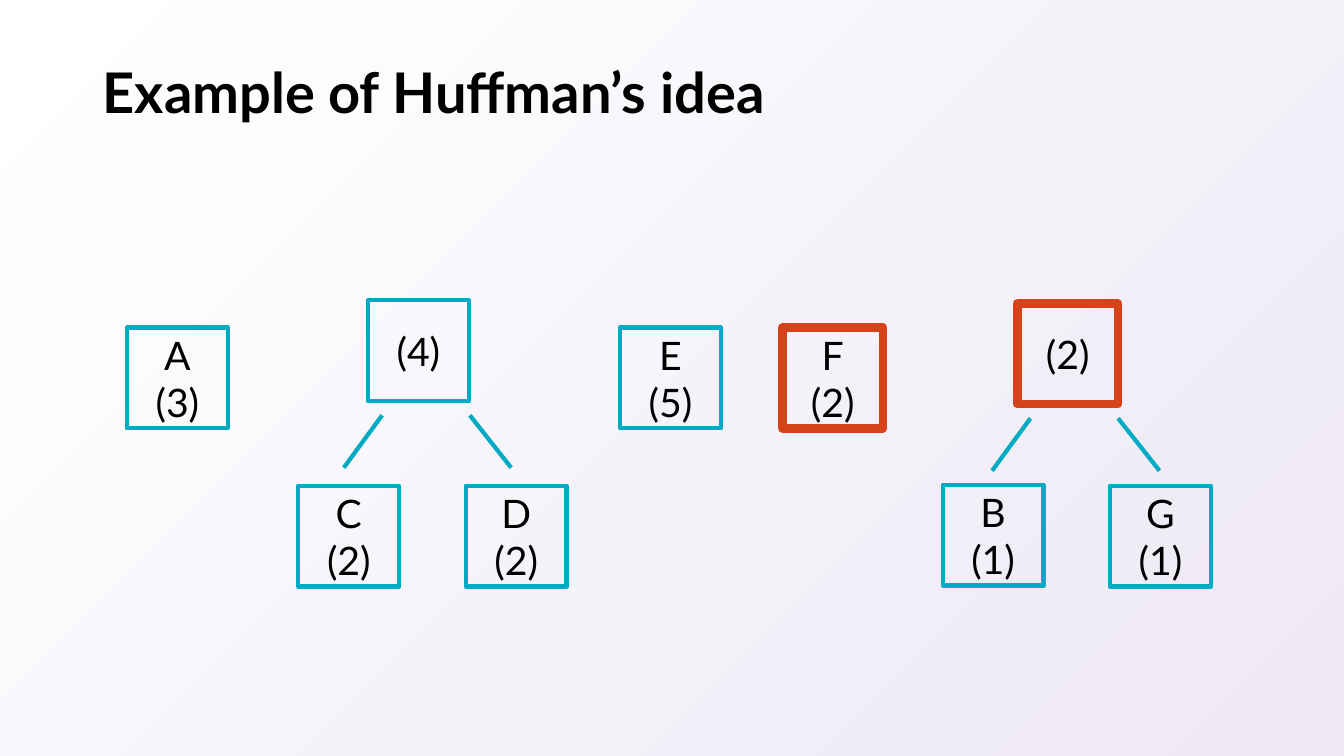
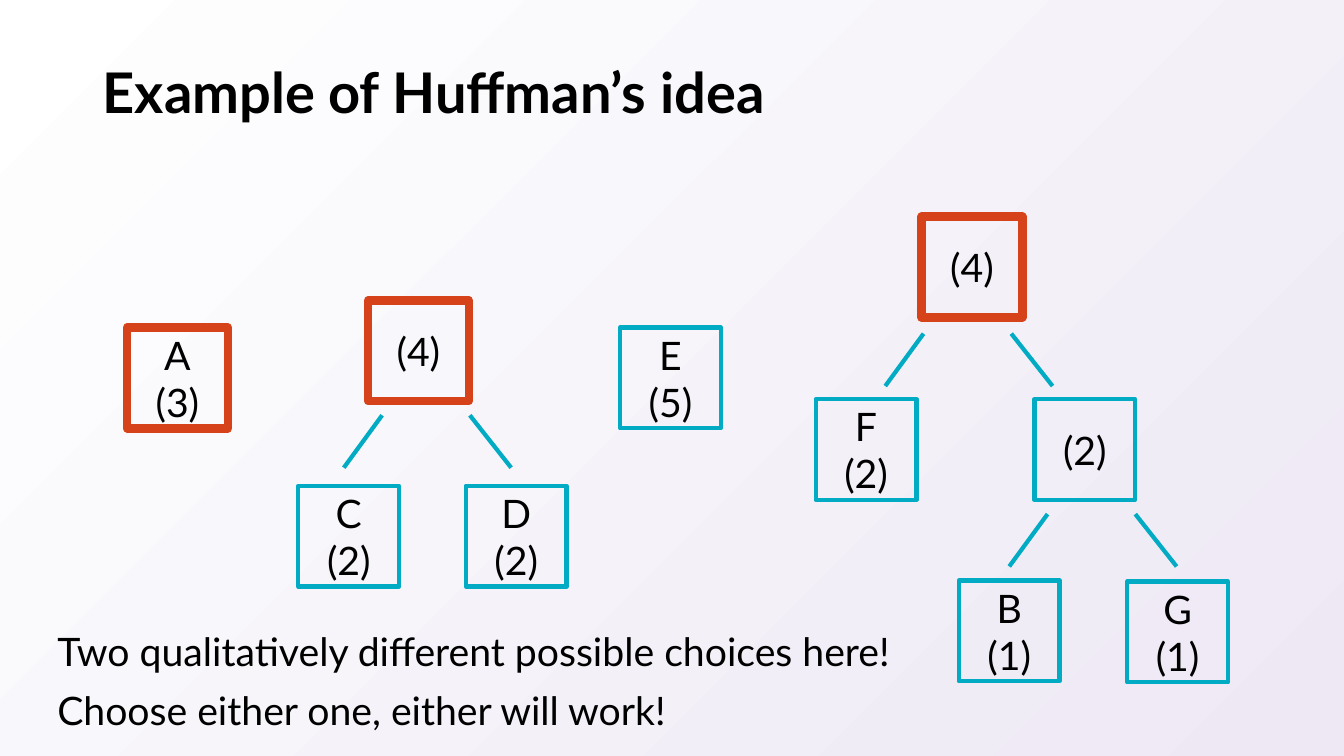
from dataclasses import dataclass

from lxml import etree
from pptx import Presentation
from pptx.dml.color import RGBColor
from pptx.enum import shapes, text
from pptx.oxml import ns
from pptx.slide import Slide
from pptx.text.text import TextFrame
from pptx.util import Inches, Pt

FONT = "Lato"
BLACK = RGBColor(0x00, 0x00, 0x00)
WHITE = RGBColor(0xFF, 0xFF, 0xFF)
LAVENDER = RGBColor(0xED, 0xE8, 0xF4)
TEAL = RGBColor(0x00, 0xAB, 0xC3)
ORANGE = RGBColor(0xD6, 0x43, 0x1A)
BOX = 1.0
FORK_DROP = 0.52
FORK_LEGS = ((0, -0.38), (0.87, 1.28))


@dataclass(frozen=True)
class Node:
    x: float
    y: float
    label: str
    chosen: bool = False


@dataclass(frozen=True)
class Fork:
    x: float
    y: float


def style_text(tf: TextFrame, size: int, bold: bool = False) -> None:
    for p in tf.paragraphs:
        for r in p.runs:
            r.font.name = FONT
            r.font.size = Pt(size)
            r.font.bold = bold
            r.font.color.rgb = BLACK


def add_text(s: Slide, x: float, y: float, w: float, h: float, content: str,
             size: int, spacing: float, bold: bool = False) -> TextFrame:
    tf = s.shapes.add_textbox(Inches(x), Inches(y), Inches(w), Inches(h)).text_frame
    tf.word_wrap = True
    tf.text = content
    tf.paragraphs[0].line_spacing = spacing
    style_text(tf, size, bold)
    return tf


def add_node(s: Slide, node: Node) -> None:
    sp = s.shapes.add_shape(shapes.MSO_SHAPE.RECTANGLE, Inches(node.x), Inches(node.y),
                            Inches(BOX), Inches(BOX))
    sp.shadow.inherit = False
    sp.fill.background()
    sp.line.color.rgb = ORANGE if node.chosen else TEAL
    sp.line.width = Pt(6 if node.chosen else 3)
    tf = sp.text_frame
    tf.text = node.label
    tf.vertical_anchor = text.MSO_ANCHOR.MIDDLE
    for p in tf.paragraphs:
        p.alignment = text.PP_ALIGN.CENTER
    style_text(tf, 28)


def add_fork(s: Slide, fork: Fork) -> None:
    for top, foot in FORK_LEGS:
        line = s.shapes.add_connector(
            shapes.MSO_CONNECTOR.STRAIGHT,
            Inches(fork.x + foot), Inches(fork.y + FORK_DROP),
            Inches(fork.x + top), Inches(fork.y))
        line.line.color.rgb = TEAL
        line.line.width = Pt(3)
        etree.SubElement(line._element.spPr, ns.qn("a:effectLst"))


def add_slide(prs: Presentation, nodes: list[Node], forks: list[Fork]) -> Slide:
    s = prs.slides.add_slide(prs.slide_layouts[6])
    fill = s.background.fill
    fill.gradient()
    fill.gradient_angle = 315
    for stop, position, color in zip(fill.gradient_stops, (0, 1), (WHITE, LAVENDER)):
        stop.position = position
        stop.color.rgb = color
    title = add_text(s, 0.92, 0.4, 11.5, 1.09, "Example of Huffman’s idea", 40, 0.9, True)
    title.vertical_anchor = text.MSO_ANCHOR.MIDDLE
    for node in SHARED_NODES + nodes:
        add_node(s, node)
    for fork in SHARED_FORKS + forks:
        add_fork(s, fork)
    return s


SHARED_NODES = [
    Node(2.96, 4.82, "C\n(2)"),
    Node(4.62, 4.82, "D\n(2)"),
    Node(6.15, 3.25, "E\n(5)"),
]
SHARED_FORKS = [Fork(3.79, 4.12)]

FIRST_NODES = [
    Node(1.26, 3.25, "A\n(3)"),
    Node(3.65, 2.98, "(4)"),
    Node(7.76, 3.25, "F\n(2)", chosen=True),
    Node(10.09, 3.01, "(2)", chosen=True),
    Node(9.35, 4.81, "B\n(1)"),
    Node(11.01, 4.82, "G\n(1)"),
]
FIRST_FORKS = [Fork(10.22, 4.15)]

SECOND_NODES = [
    Node(1.26, 3.25, "A\n(3)", chosen=True),
    Node(3.65, 2.98, "(4)", chosen=True),
    Node(9.14, 2.15, "(4)", chosen=True),
    Node(8.09, 3.96, "F\n(2)"),
    Node(10.26, 3.96, "(2)"),
    Node(9.51, 5.76, "B\n(1)"),
    Node(11.18, 5.77, "G\n(1)"),
]
SECOND_FORKS = [Fork(9.16, 3.31), Fork(10.39, 5.1)]


def main() -> None:
    prs = Presentation()
    prs.slide_width = Inches(13.33)
    prs.slide_height = Inches(7.5)
    add_slide(prs, FIRST_NODES, FIRST_FORKS)
    s = add_slide(prs, SECOND_NODES, SECOND_FORKS)
    add_text(s, 0.47, 6.06, 8.7, 1.22,
             "Two qualitatively different possible choices here! "
             "Choose either one, either will work!", 28, 1.25)
    prs.save("out.pptx")


if __name__ == "__main__":
    main()
